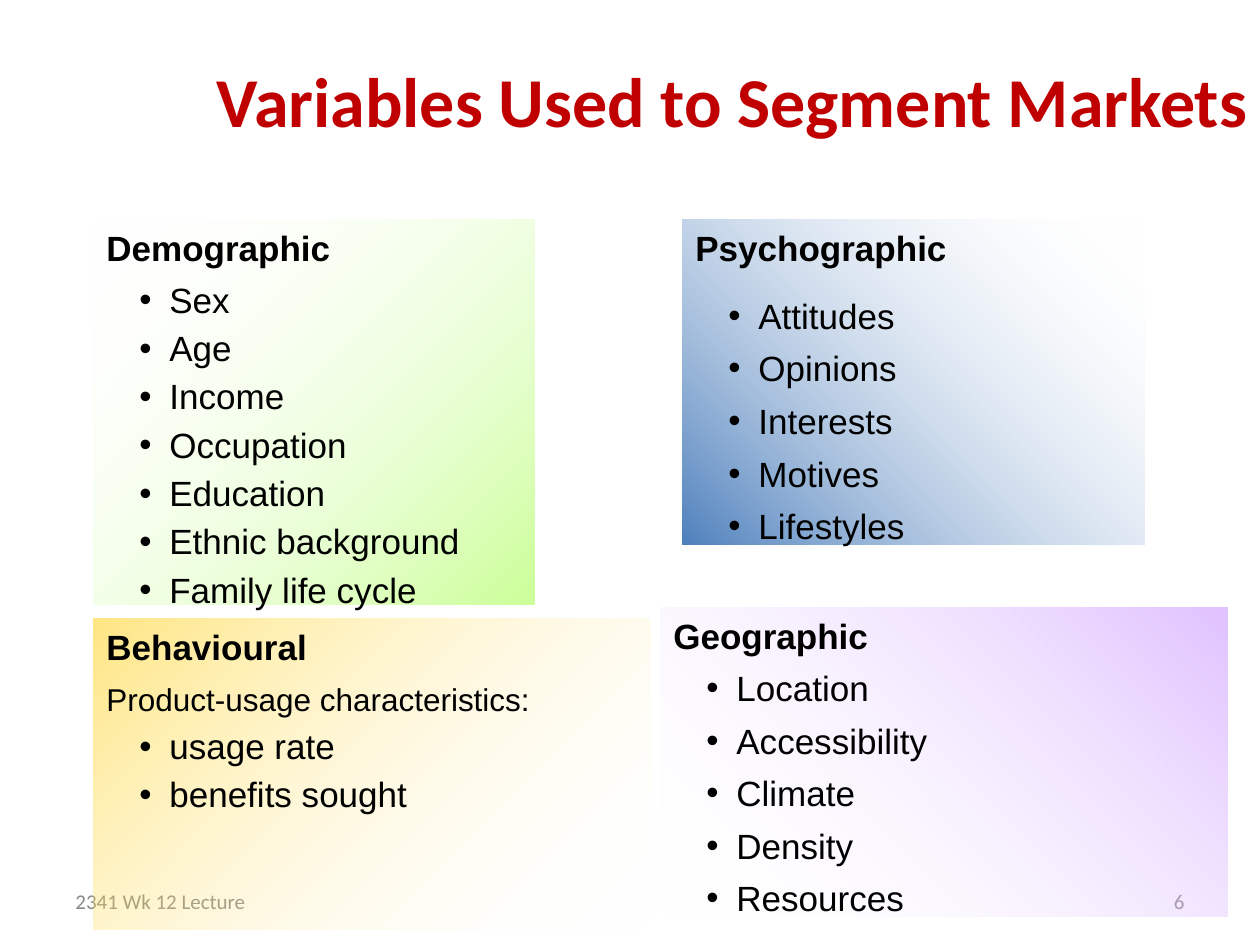
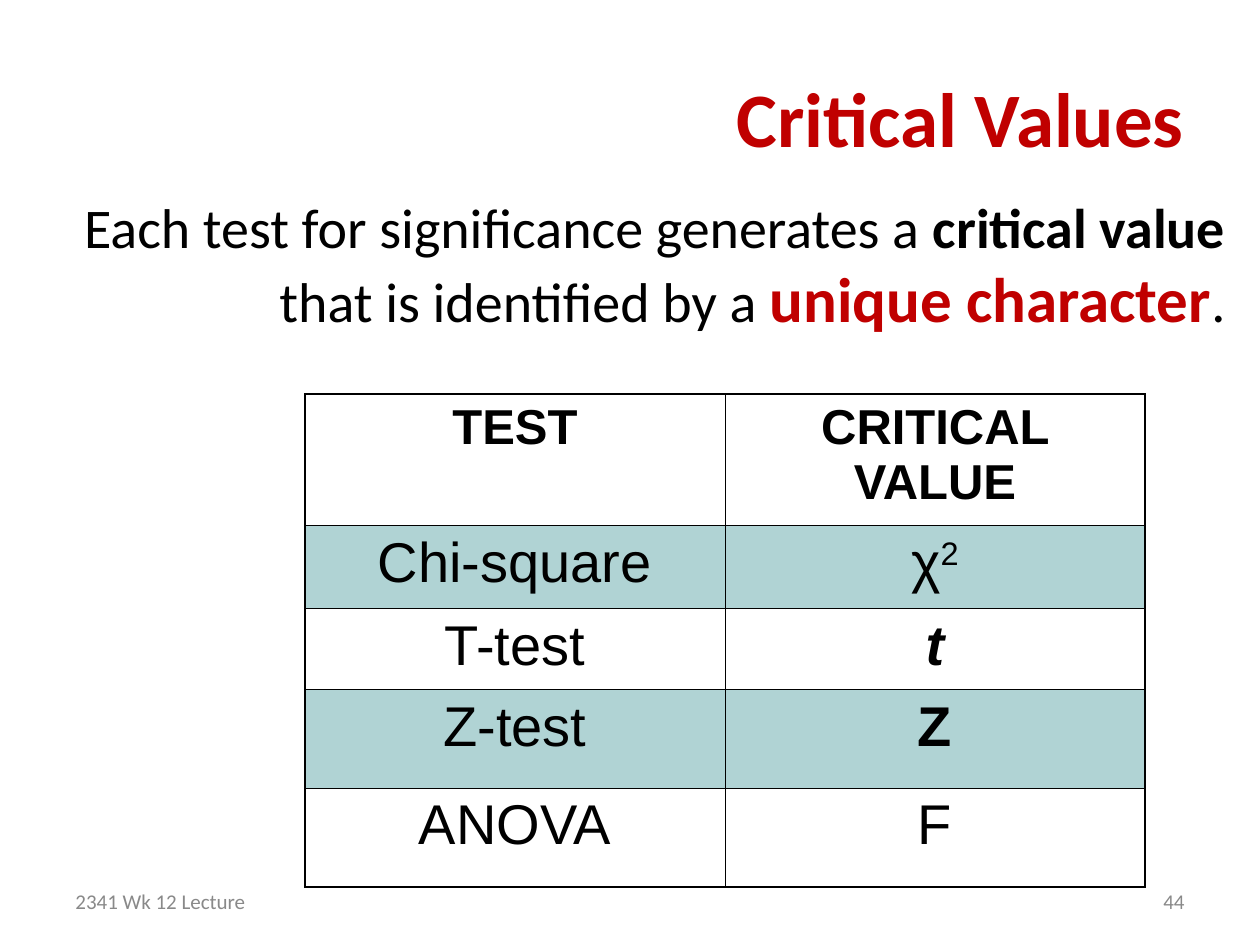
"""Build two lecture slides on market segmentation and critical values."""
from dataclasses import dataclass
from typing import NamedTuple

from lxml.etree import SubElement
from pptx import Presentation
from pptx.dml.color import RGBColor
from pptx.enum.shapes import MSO_SHAPE
from pptx.enum.text import MSO_ANCHOR, PP_ALIGN
from pptx.oxml.ns import qn
from pptx.util import Emu, Pt

EMU_PER_PX = 914400 / 126
RED, BLACK, GREY, WHITE, TEAL = "C00000", "000000", "898989", "FFFFFF", "B0D3D4"
HEADING_FONT, PANEL_FONT = "Calibri", "Arial"
FOOTER = "2341 Wk 12 Lecture"
OUTER_BORDER, INNER_BORDER = 1.08, 0.45


class Box(NamedTuple):
    left: int
    top: int
    width: int
    height: int


class Run(NamedTuple):
    text: str
    size: int = 32
    bold: bool = False
    italic: bool = False
    color: str = BLACK
    raised: bool = False


class Stop(NamedTuple):
    color: str
    opacity: int = 100


class Line(NamedTuple):
    text: str
    space_before: int = 6
    spacing: float = 1.0
    size: int = 20
    bulleted: bool = True


@dataclass
class Panel:
    heading: str
    box: Box
    stops: tuple[Stop, Stop]
    angle: int
    lines: list[Line]


PANELS = [
    Panel("Psychographic", Box(683, 220, 462, 325), (Stop("4F81BD"), Stop(WHITE, 0)), 45,
          [Line("Attitudes", 15)]
          + [Line(text) for text in ("Opinions", "Interests", "Motives", "Lifestyles")]),
    Panel("Behavioural", Box(94, 619, 557, 311), (Stop("FFCC00", 49), Stop(WHITE, 0)), 315,
          [Line("Product-usage characteristics:", 10, 0.9, 18, False)]
          + [Line(text, spacing=0.9) for text in ("usage rate", "benefits sought")]),
    Panel("Demographic", Box(94, 220, 441, 385), (Stop(WHITE, 0), Stop("CCFF99")), 315,
          [Line("Sex")]
          + [Line(text, spacing=0.9) for text in (
              "Age", "Income", "Occupation", "Education", "Ethnic background",
              "Family life cycle")]),
    Panel("Geographic", Box(661, 608, 567, 309), (Stop(WHITE, 0), Stop("CC99FF", 60)), 45,
          [Line(text) for text in (
              "Location", "Accessibility", "Climate", "Density", "Resources")]),
]

STATEMENT = [
    Run("Each test for significance generates a "),
    Run("critical value", bold=True),
    Run(" that is identified by a "),
    Run("unique character", 36, True, color=RED),
    Run("."),
]
TABLE_BOX = Box(305, 394, 840, 493)
ROW_HEIGHTS = [131, 83, 81, 99, 99]
TABLE_ROWS = [
    [[Run("TEST", 28, True)], [Run("CRITICAL VALUE", 28, True)]],
    [[Run("Chi-square")], [Run("χ"), Run("2", raised=True)]],
    [[Run("T-test")], [Run("t", bold=True, italic=True)]],
    [[Run("Z-test")], [Run("Ζ", bold=True)]],
    [[Run("ANOVA")], [Run("F")]],
]


def px(length: int) -> Emu:
    """Turn pixels into EMU."""
    return Emu(round(length * EMU_PER_PX))


def place(box: Box) -> list[Emu]:
    """Turn a box into four EMU lengths."""
    return [px(length) for length in box]


def rgb(color: str) -> RGBColor:
    """Turn a hex string into a colour."""
    return RGBColor.from_string(color)


def style_font(font, name: str, size: int, color: str, bold: bool = False) -> None:
    """Set the face, size, colour and weight of a font."""
    font.name, font.size, font.bold = name, Pt(size), bold
    font.color.rgb = rgb(color)


def add_runs(paragraph, runs: list[Run], font_name: str) -> None:
    """Add formatted runs to a paragraph."""
    for item in runs:
        run = paragraph.add_run()
        run.text = item.text
        style_font(run.font, font_name, item.size, item.color, item.bold)
        run.font.italic = item.italic
        if item.raised:
            run.font._element.set("baseline", "30000")


def add_text_box(slide, box: Box, align: PP_ALIGN, anchor: MSO_ANCHOR, runs: list[Run]) -> None:
    """Add a wrapping text box with one paragraph."""
    text_frame = slide.shapes.add_textbox(*place(box)).text_frame
    text_frame.word_wrap = True
    text_frame.vertical_anchor = anchor
    paragraph = text_frame.paragraphs[0]
    paragraph.alignment = align
    add_runs(paragraph, runs, HEADING_FONT)


def add_slide(presentation, title: str, title_box: Box, title_size: int, number: int):
    """Add a slide with its red title, footer and number."""
    slide = presentation.slides.add_slide(presentation.slide_layouts[5])
    shape = slide.shapes.title
    shape.left, shape.top, shape.width, shape.height = place(title_box)
    shape.text_frame.text = title
    shape.text_frame.vertical_anchor = MSO_ANCHOR.MIDDLE
    paragraph = shape.text_frame.paragraphs[0]
    paragraph.alignment = PP_ALIGN.RIGHT
    style_font(paragraph.runs[0].font, HEADING_FONT, title_size, RED, True)
    for left, align, text in ((63, PP_ALIGN.LEFT, FOOTER), (903, PP_ALIGN.RIGHT, str(number))):
        add_text_box(slide, Box(left, 876, 294, 50), align, MSO_ANCHOR.MIDDLE,
                     [Run(text, 12, color=GREY)])
    return slide


def add_bullet(paragraph) -> None:
    """Give a paragraph a hanging round bullet."""
    properties = paragraph._p.get_or_add_pPr()
    properties.set("marL", str(px(63)))
    properties.set("indent", str(px(-30)))
    SubElement(properties, qn("a:buFont")).set("typeface", PANEL_FONT)
    SubElement(properties, qn("a:buChar")).set("char", "•")


def fill_gradient(shape, stops: tuple[Stop, Stop], angle: int) -> None:
    """Fill a shape with a linear gradient of two stops."""
    shape.fill.gradient()
    shape.fill.gradient_angle = angle
    for gradient_stop, stop in zip(shape.fill.gradient_stops, stops):
        gradient_stop.color.rgb = rgb(stop.color)
    for color, stop in zip(shape._element.spPr.iter(qn("a:srgbClr")), stops):
        SubElement(color, qn("a:alpha")).set("val", str(stop.opacity * 1000))


def add_panel(slide, panel: Panel) -> None:
    """Add a gradient panel with a heading and its lines."""
    shape = slide.shapes.add_shape(MSO_SHAPE.RECTANGLE, *place(panel.box))
    shape.shadow.inherit = False
    shape.line.fill.background()
    fill_gradient(shape, panel.stops, panel.angle)
    text_frame = shape.text_frame
    text_frame.word_wrap = True
    text_frame.vertical_anchor = MSO_ANCHOR.TOP
    text_frame.text = panel.heading
    heading = text_frame.paragraphs[0]
    heading.alignment = PP_ALIGN.LEFT
    style_font(heading.runs[0].font, PANEL_FONT, 20, BLACK, True)
    for line in panel.lines:
        paragraph = text_frame.add_paragraph()
        paragraph.text = line.text
        paragraph.alignment = PP_ALIGN.LEFT
        if line.bulleted:
            add_bullet(paragraph)
        paragraph.space_before = Pt(line.space_before)
        paragraph.line_spacing = line.spacing
        style_font(paragraph.runs[0].font, PANEL_FONT, line.size, BLACK)


def add_border(cell, side: str, width: float) -> None:
    """Draw one black border of a cell."""
    border = SubElement(cell._tc.get_or_add_tcPr(), qn(f"a:{side}"), w=str(Pt(width)))
    fill = SubElement(border, qn("a:solidFill"))
    SubElement(fill, qn("a:srgbClr")).set("val", BLACK)


def add_critical_value_table(slide) -> None:
    """Add the table of tests and their critical values."""
    last_row, last_column = len(TABLE_ROWS) - 1, len(TABLE_ROWS[0]) - 1
    table = slide.shapes.add_table(last_row + 1, last_column + 1, *place(TABLE_BOX)).table
    table.first_row = table.horz_banding = False
    for row, height in zip(table.rows, ROW_HEIGHTS):
        row.height = px(height)
    for row_index, cells in enumerate(TABLE_ROWS):
        for column_index, runs in enumerate(cells):
            cell = table.cell(row_index, column_index)
            edges = {"lnL": column_index == 0, "lnR": column_index == last_column,
                     "lnT": row_index == 0, "lnB": row_index == last_row}
            for side, is_outer in edges.items():
                add_border(cell, side, OUTER_BORDER if is_outer else INNER_BORDER)
            if row_index % 2:
                cell.fill.solid()
                cell.fill.fore_color.rgb = rgb(TEAL)
            else:
                cell.fill.background()
            paragraph = cell.text_frame.paragraphs[0]
            paragraph.alignment = PP_ALIGN.CENTER
            add_runs(paragraph, runs, PANEL_FONT)


def main() -> None:
    """Build and save the presentation."""
    presentation = Presentation()
    presentation.slide_width, presentation.slide_height = px(1260), px(945)
    segments = add_slide(presentation, "Variables Used to Segment Markets",
                         Box(105, 21, 1155, 158), 40, 6)
    for panel in PANELS:
        add_panel(segments, panel)
    values = add_slide(presentation, "Critical Values", Box(63, 38, 1134, 158), 44, 44)
    add_critical_value_table(values)
    add_text_box(values, Box(69, 186, 1169, 156), PP_ALIGN.RIGHT, MSO_ANCHOR.TOP, STATEMENT)
    presentation.save("out.pptx")


if __name__ == "__main__":
    main()
